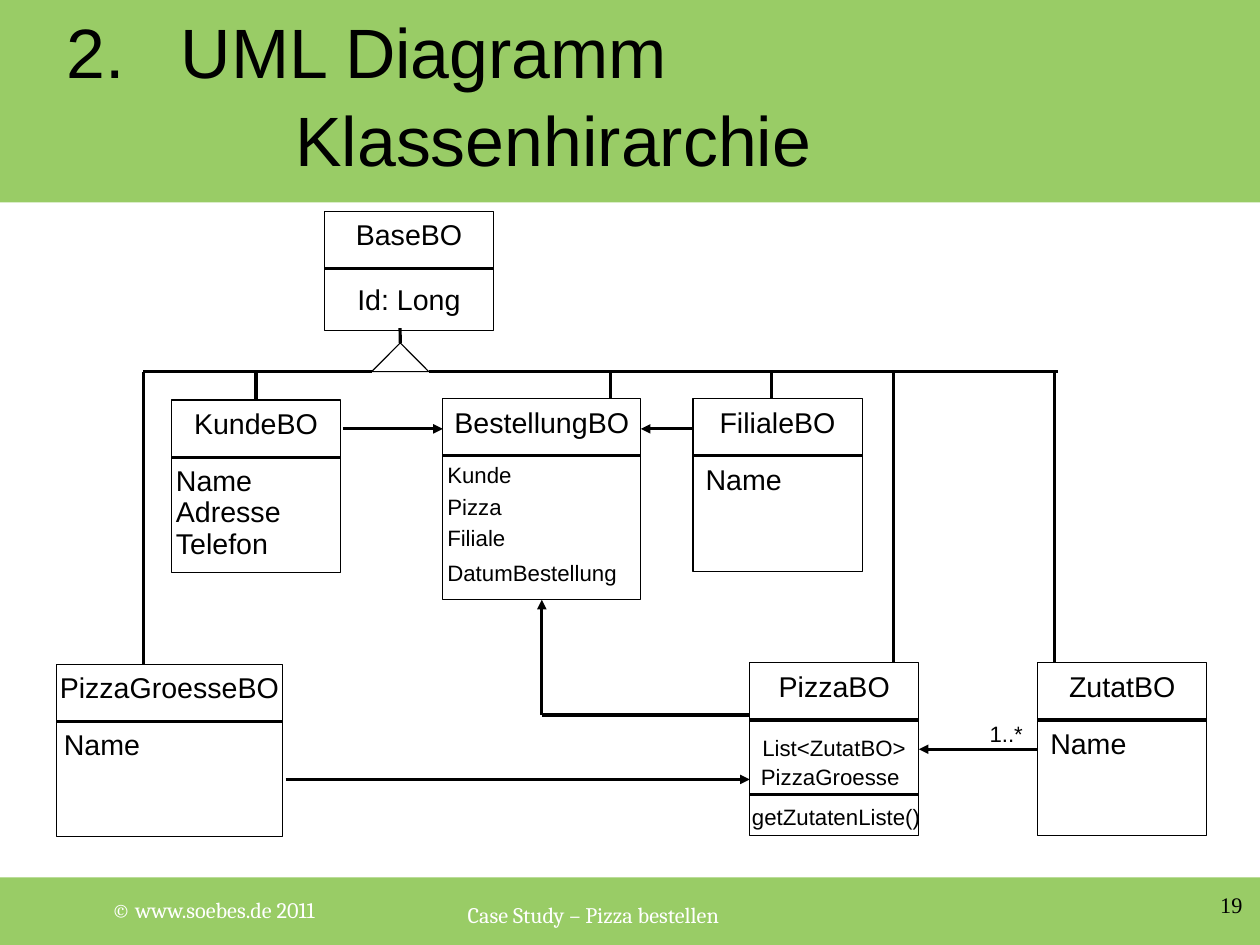
from collections import namedtuple
from dataclasses import dataclass

from lxml import etree
from pptx import Presentation
from pptx.dml.color import RGBColor
from pptx.enum.shapes import MSO_CONNECTOR, MSO_SHAPE
from pptx.enum.text import MSO_ANCHOR, PP_ALIGN
from pptx.oxml.ns import qn
from pptx.util import Cm, Pt

RECTANGLE = MSO_SHAPE.RECTANGLE
TRIANGLE = MSO_SHAPE.FLOWCHART_EXTRACT
STRAIGHT = MSO_CONNECTOR.STRAIGHT
MIDDLE = MSO_ANCHOR.MIDDLE
TOP_ANCHOR = MSO_ANCHOR.TOP
LEFT_ALIGN, CENTER, RIGHT_ALIGN = PP_ALIGN.LEFT, PP_ALIGN.CENTER, PP_ALIGN.RIGHT
TOP, LEFT, BOTTOM, RIGHT = range(4)

Box = namedtuple("Box", "left top width height")
Style = namedtuple("Style", "font size color")


@dataclass(frozen=True)
class Theme:
    band = RGBColor(0x99, 0xCC, 0x66)
    ink = RGBColor(0, 0, 0)
    title = Style("Arial", 44, ink)
    name = Style("Arial", 18, ink)
    detail = Style("Arial", 14, ink)
    footer = Style("Cambria", 14, RGBColor(255, 255, 255))
    number = Style("Times New Roman", 14, ink)
    hairline = Pt(0)


THEME = Theme()
HEADER = Box(0, 0, 28, 4.5)
FOOTER = Box(0, 19.5, 28, 1.5)
DIAGRAM = Box(0, 4.5, 28, 15)

NAME_HEIGHT = 1.27
ROW_STEP = 0.7
BUS_Y = 3.76

CLASSES = {
    "KundeBO": (Box(3.81, 4.39, 3.76, 3.84), THEME.name,
                [(text, -0.15, NAME_HEIGHT + row * ROW_STEP)
                 for row, text in enumerate(("Name", "Adresse", "Telefon"))]),
    "BaseBO": (Box(7.21, 0.2, 3.76, 2.64), THEME.name, [("Id: Long", 0.48, 1.45)]),
    "FilialeBO": (Box(15.4, 4.36, 3.76, 3.84), THEME.name, [("Name", 0.03, NAME_HEIGHT)]),
    "PizzaGroesseBO": (Box(1.25, 10.26, 5.03, 3.84), THEME.name, [("Name", -0.08, NAME_HEIGHT)]),
    "ZutatBO": (Box(23.06, 10.23, 3.76, 3.84), THEME.name, [("Name", 0.03, NAME_HEIGHT)]),
    "PizzaBO": (Box(16.66, 10.23, 3.76, 3.84), THEME.detail,
                [("List<ZutatBO>", 0.03, 1.47), ("PizzaGroesse", 0, 2.11),
                 ("getZutatenListe()", -0.2, 3)]),
    "BestellungBO": (Box(9.84, 4.36, 4.4, 4.47), THEME.detail,
                     [("Kunde", -0.15, NAME_HEIGHT), ("Pizza", -0.15, NAME_HEIGHT + ROW_STEP),
                      ("Filiale", -0.15, NAME_HEIGHT + 2 * ROW_STEP),
                      ("DatumBestellung", -0.15, 3.45)]),
}


def place(box, left, top, width, height):
    return Box(box.left + left, box.top + top, width, height)


def lengths(values):
    return [Cm(value) for value in values]


def set_values(target, values):
    for attribute, value in values.items():
        setattr(target, attribute, value)


def add_text(slide, box, text, style, align=LEFT_ALIGN, anchor=TOP_ANCHOR,
             inset=0.25, spacing=None, tabs=()):
    frame = slide.shapes.add_textbox(*lengths(box)).text_frame
    set_values(frame, {"word_wrap": True, "vertical_anchor": anchor,
                       "margin_left": Cm(inset), "margin_right": Cm(inset),
                       "margin_top": Cm(inset / 2), "margin_bottom": Cm(inset / 2)})
    paragraph = frame.paragraphs[0]
    paragraph.text = text
    set_values(paragraph, {"alignment": align, "line_spacing": spacing})
    if tabs:
        stops = etree.SubElement(paragraph._p.get_or_add_pPr(), qn("a:tabLst"))
        for position in tabs:
            etree.SubElement(stops, qn("a:tab"), pos=str(Cm(position)), algn="l")
    for run in paragraph.runs:
        set_values(run.font, {"name": style.font, "size": Pt(style.size)})
        run.font.color.rgb = style.color


def add_outline(slide, kind, box):
    shape = slide.shapes.add_shape(kind, *lengths(box))
    shape.shadow.inherit = False
    shape.fill.background()
    shape.line.color.rgb = THEME.ink
    shape.line.width = THEME.hairline
    return shape


def add_band(slide, box):
    shape = slide.shapes.add_shape(RECTANGLE, *lengths(box))
    shape.shadow.inherit = False
    shape.fill.solid()
    shape.fill.fore_color.rgb = THEME.band
    shape.line.fill.background()


def add_line(slide, box, start, end, arrow=False, begin_at=None, end_at=None):
    points = [box.left + start[0], box.top + start[1], box.left + end[0], box.top + end[1]]
    connector = slide.shapes.add_connector(STRAIGHT, *lengths(points))
    if begin_at:
        connector.begin_connect(*begin_at)
    if end_at:
        connector.end_connect(*end_at)
    connector.line.color.rgb = THEME.ink
    connector.line.width = THEME.hairline
    if arrow:
        etree.SubElement(connector.line._get_or_add_ln(), qn("a:tailEnd"), type="triangle")
    etree.SubElement(connector._element.spPr, qn("a:effectLst"))


def add_header(slide, box):
    add_band(slide, box)
    add_text(slide, place(box, 1.48, 0.3, 25.2, 3.5), "2.\tUML Diagramm\n\t\tKlassenhirarchie",
             THEME.title, anchor=MIDDLE, inset=0, spacing=1.05, tabs=(2.54, 5.08))


def add_footer(slide, box):
    add_band(slide, box)
    add_text(slide, place(box, 2.23, 0.3, 5.92, 0.88), "© www.soebes.de 2011",
             THEME.footer, anchor=MIDDLE, spacing=0.96)
    add_text(slide, place(box, 6.6, 0.3, 13.18, 0.8), "Case Study – Pizza bestellen",
             THEME.footer, CENTER, spacing=1.19)
    add_text(slide, place(box, 21.08, 0.3, 6.53, 0.7), "19", THEME.number, RIGHT_ALIGN, inset=0)


def add_class(slide, box, name, style, members):
    outline = add_outline(slide, RECTANGLE, box)
    add_line(slide, box, (0, NAME_HEIGHT), (box.width, NAME_HEIGHT))
    add_text(slide, Box(box.left, box.top + 0.13, box.width, 0.71), name,
             THEME.name, CENTER, inset=0)
    for text, left, top in members:
        add_text(slide, place(box, left, top, box.width + 0.6, 0.9), text, style)
    return outline


def add_inheritance(slide, box, classes):
    triangle = add_outline(slide, TRIANGLE, place(box, 8.26, BUS_Y - 0.64, 1.27, 0.64))
    add_line(slide, box, (8.89, 2.79), (8.89, 3.12), end_at=(triangle, TOP))
    for start, end in ((8.26, 3.18), (9.53, 23.5)):
        add_line(slide, box, (start, BUS_Y), (end, BUS_Y))
    add_line(slide, box, (5.69, BUS_Y), (5.69, 4.39), end_at=(classes["KundeBO"], TOP))
    for x, bottom in ((13.56, 4.36), (17.15, 4.36), (3.18, 10.26), (23.44, 10.23), (19.86, 10.23)):
        add_line(slide, box, (x, BUS_Y), (x, bottom))


def add_associations(slide, box, classes):
    for start, end in (((7.62, 5.03), (9.84, 5.03)), ((15.4, 5.03), (14.24, 5.03)),
                       ((6.35, 12.82), (16.66, 12.82))):
        add_line(slide, box, start, end, arrow=True)
    add_line(slide, box, (23.06, 12.15), (20.42, 12.15), arrow=True,
             begin_at=(classes["ZutatBO"], LEFT), end_at=(classes["PizzaBO"], RIGHT))
    add_text(slide, place(box, 21.74, 11.38, 1.47, 0.81), "1..*", THEME.detail)
    add_line(slide, box, (12.04, 11.39), (12.04, 8.83), arrow=True,
             end_at=(classes["BestellungBO"], BOTTOM))
    add_line(slide, box, (12.04, 11.39), (16.66, 11.39))


def add_diagram(slide, box):
    classes = {name: add_class(slide, place(box, *area), name, style, members)
               for name, (area, style, members) in CLASSES.items()}
    add_line(slide, place(box, *CLASSES["PizzaBO"][0]), (0, 2.93), (3.76, 2.93))
    add_inheritance(slide, box, classes)
    add_associations(slide, box, classes)


def main():
    presentation = Presentation()
    presentation.slide_width, presentation.slide_height = Cm(28), Cm(21)
    slide = presentation.slides.add_slide(presentation.slide_layouts[6])
    add_header(slide, HEADER)
    add_footer(slide, FOOTER)
    add_diagram(slide, DIAGRAM)
    presentation.save("out.pptx")


if __name__ == "__main__":
    main()
